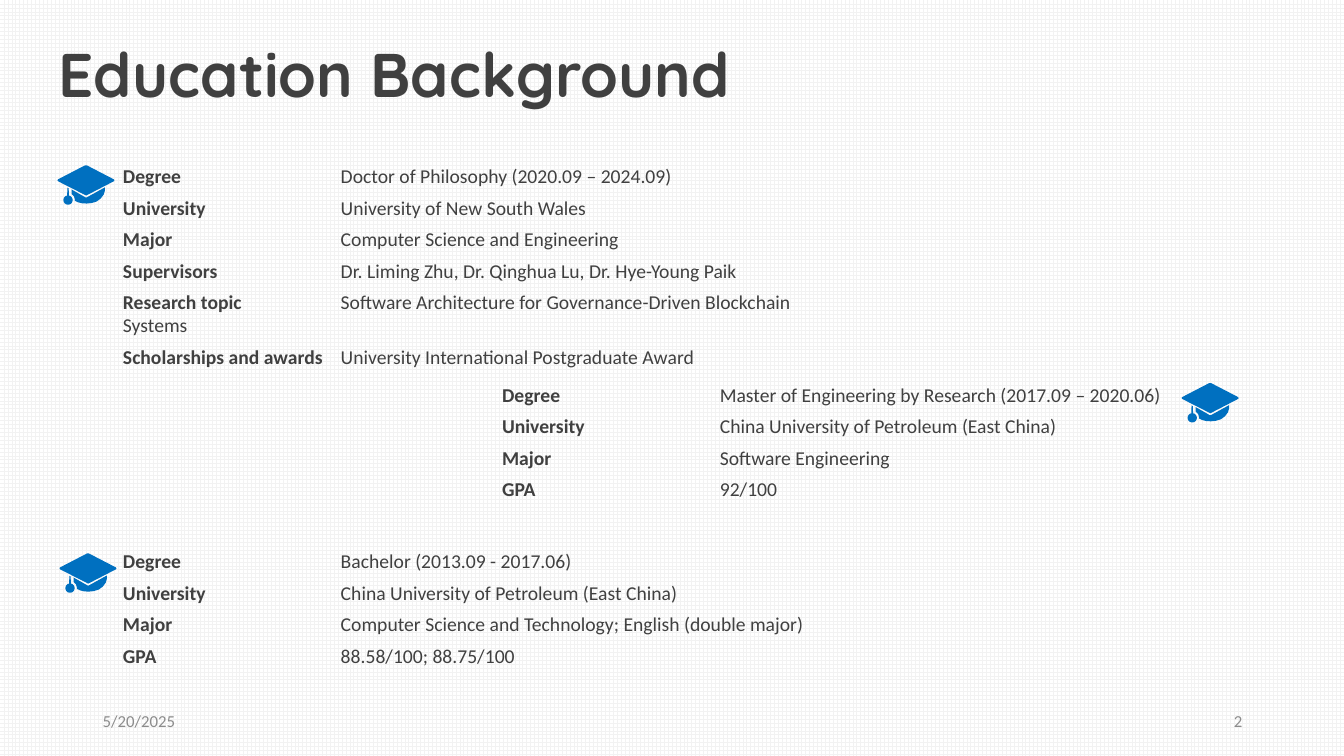
from math import cos, radians, sin

from lxml.etree import SubElement
from pptx import Presentation
from pptx.dml.color import RGBColor
from pptx.enum.dml import MSO_PATTERN
from pptx.enum.text import MSO_ANCHOR as ANCHOR, PP_ALIGN as ALIGN
from pptx.oxml.ns import qn
from pptx.util import Inches, Pt

INK, GREY, BLUE = "404040", "8C8C8C", "0070C0"
LINE_PITCH = 0.31
VALUE_TAB = 2.16

# Graduation cap outlines, in thousandths of an inch from its top left corner
BOARD = [(0, 150), (5, 140), (275, 0), (290, 0), (560, 140), (565, 150),
         (560, 158), (285, 300), (5, 158)]
BOWL = [(290, 320), (280, 320), (140, 240), (140, 285), (165, 310), (175, 345),
        (172, 352), (205, 368), (245, 378), (290, 380), (340, 375), (390, 360),
        (430, 330), (460, 290), (470, 255), (470, 220)]
KNOB = [(105 + 46 * sin(radians(a)), 345 - 46 * cos(radians(a)))
        for a in range(10, 351, 20)]
TASSEL = [(98, 222), (112, 229)] + KNOB

# Each entry: text left and top, cap left and top, rows
DEGREES = [
    (1.22, 1.63, 0.57, 1.64, [
        ("Degree", "Doctor of Philosophy (2020.09 – 2024.09)"),
        ("University", "University of New South Wales"),
        ("Major", "Computer Science and Engineering"),
        ("Supervisors", "Dr. Liming Zhu, Dr. Qinghua Lu, Dr. Hye-Young Paik"),
        ("Research topic", "Software Architecture for Governance-Driven Blockchain Systems"),
        ("Scholarships and awards", "University International Postgraduate Award"),
    ]),
    (4.98, 3.8, 11.72, 3.8, [
        ("Degree", "Master of Engineering by Research (2017.09 – 2020.06)"),
        ("University", "China University of Petroleum (East China)"),
        ("Major", "Software Engineering"),
        ("GPA", "92/100"),
    ]),
    (1.22, 5.45, 0.59, 5.49, [
        ("Degree", "Bachelor (2013.09 - 2017.06)"),
        ("University", "China University of Petroleum (East China)"),
        ("Major", "Computer Science and Technology; English (double major)"),
        ("GPA", "88.58/100; 88.75/100"),
    ]),
]


def color(hex_string):
    return RGBColor.from_string(hex_string)


def style(paragraph, size, hex_string, face="Calibri", bold=None):
    font = paragraph.font
    font.size, font.name, font.bold = Pt(size), face, bold
    font.color.rgb = color(hex_string)


def add_frame(slide, left, top, width, height, inset=0):
    frame = slide.shapes.add_textbox(
        Inches(left), Inches(top), Inches(width), Inches(height)).text_frame
    frame.word_wrap = True
    frame.margin_left = frame.margin_right = Inches(inset)
    frame.margin_top = frame.margin_bottom = Inches(inset / 2)
    return frame


def add_title(slide, left, top, width, height):
    title = add_frame(slide, left, top, width, height).paragraphs[0]
    title.text = "Education Background"
    title.line_spacing = 0.9
    style(title, 44, INK, "Quicksand", True)


def add_footer(slide, left, top, width, height, text, align):
    frame = add_frame(slide, left, top, width, height, inset=0.1)
    frame.vertical_anchor = ANCHOR.MIDDLE
    footer = frame.paragraphs[0]
    footer.text, footer.alignment = text, align
    style(footer, 12, GREY)


def add_cap(slide, left, top):
    for outline in (BOWL, TASSEL, BOARD):
        builder = slide.shapes.build_freeform(*outline[0], scale=Inches(1) / 1000)
        builder.add_line_segments(outline[1:], close=True)
        part = builder.convert_to_shape(Inches(left), Inches(top))
        part.shadow.inherit = False
        part.fill.solid()
        part.fill.fore_color.rgb = color(BLUE)
        part.line.fill.background()


def add_degree(slide, left, top, rows):
    frame = add_frame(slide, left, top, 6.9, LINE_PITCH * len(rows))
    for i, (label, value) in enumerate(rows):
        row = frame.add_paragraph() if i else frame.paragraphs[0]
        if i:
            row.space_before = Pt(5.6)
        # The tab that aligns the values
        tabs = SubElement(row._p.get_or_add_pPr(), qn("a:tabLst"))
        SubElement(tabs, qn("a:tab"), pos=str(Inches(VALUE_TAB)), algn="l")
        style(row, 14, INK)
        label_run = row.add_run()
        label_run.text = label
        label_run.font.bold = True
        row.add_run().text = "\t" + value


def main():
    prs = Presentation()
    prs.slide_width, prs.slide_height = Inches(13.33), Inches(7.5)
    slide = prs.slides.add_slide(prs.slide_layouts[6])

    # Grid background
    backdrop = slide.background.fill
    backdrop.patterned()
    backdrop.pattern = MSO_PATTERN.LARGE_GRID
    backdrop.fore_color.rgb = color("F2F2F2")
    backdrop.back_color.rgb = color("FFFFFF")

    add_title(slide, 0.58, 0.44, 8.39, 0.67)
    for left, top, cap_left, cap_top, rows in DEGREES:
        add_degree(slide, left, top, rows)
        add_cap(slide, cap_left, cap_top)

    # Date and slide number
    add_footer(slide, 0.92, 6.95, 3, 0.4, "5/20/2025", ALIGN.LEFT)
    add_footer(slide, 9.42, 6.95, 3, 0.4, "2", ALIGN.RIGHT)
    prs.save("out.pptx")


if __name__ == "__main__":
    main()
